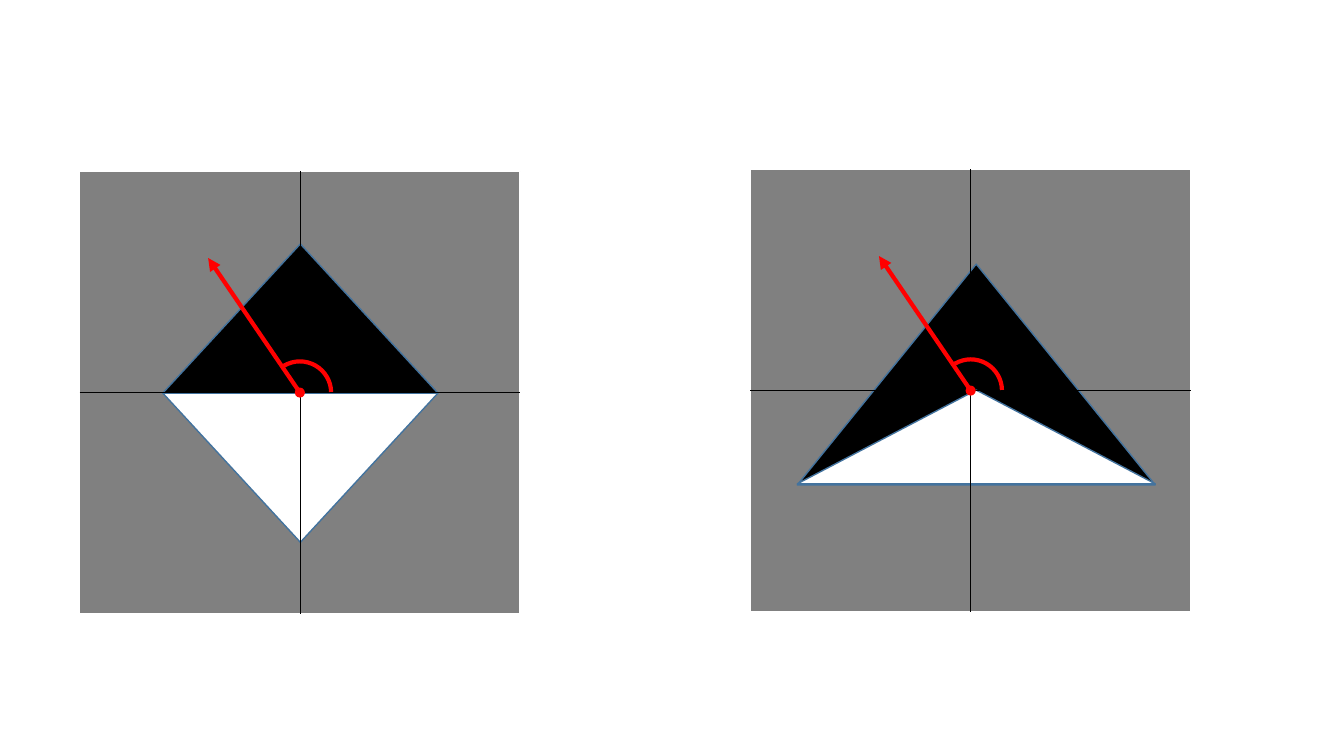
from dataclasses import dataclass
from lxml.etree import SubElement
from pptx import Presentation
from pptx.dml.color import RGBColor
from pptx.enum.shapes import MSO_CONNECTOR, MSO_SHAPE
from pptx.oxml.ns import qn
from pptx.util import Inches, Pt


@dataclass(frozen=True)
class Theme:
    black: str = "000000"
    white: str = "FFFFFF"
    gray: str = "808080"
    edge: str = "43739E"
    red: str = "FF0000"
    hair: float = 0.5
    thin: float = 1
    bold: float = 3


T = Theme()
CELL = 0.1
COLS, ROWS = 133.33, 75
PANEL_W, PANEL_H = 43.7, 43.9
ARROW = (-9.1, -13.35)
DOT, ARC = 1, 6.2
ARC_DEGREES = (326.63, 88.72)

PANELS = [
    {"center": (29.75, 38.95), "triangles": [
        (-13.6, 0.05, 27.3, 14.8, 180, T.white),
        (-13.6, -14.75, 27.3, 14.8, 0, T.black)]},
    {"center": (96.3, 38.75), "triangles": [
        (-17.2, -12.55, 35.5, 21.9, 0, T.black),
        (-17.2, -0.05, 35.5, 9.3, 0, T.white)]},
]


def cells(*values):
    return [Inches(v * CELL) for v in values]


def paint_line(line, color, width):
    line.color.rgb = RGBColor.from_string(color)
    line.width = Pt(width)


def add_shape(parent, kind, box, fill=None, line=None, rotation=0):
    s = parent.shapes.add_shape(kind, *cells(*box))
    s.shadow.inherit = False
    s.rotation = rotation
    if fill:
        s.fill.solid()
        s.fill.fore_color.rgb = RGBColor.from_string(fill)
    else:
        s.fill.background()
    if line:
        paint_line(s.line, *line)
    else:
        s.line.fill.background()
    return s


def add_line(parent, start, end, color, width):
    c = parent.shapes.add_connector(MSO_CONNECTOR.STRAIGHT, *cells(*start, *end))
    paint_line(c.line, color, width)
    SubElement(c._element.spPr, qn("a:effectLst"))
    return c


def add_panel(slide, center, triangles):
    cx, cy = center
    left, top = cx - PANEL_W / 2, cy - PANEL_H / 2
    right, bottom = left + PANEL_W, top + PANEL_H
    square = add_shape(slide, MSO_SHAPE.RECTANGLE, (left, top, PANEL_W, PANEL_H),
                       T.gray, (T.white, T.thin))
    for dx, dy, w, h, rotation, fill in triangles:
        add_shape(slide, MSO_SHAPE.ISOSCELES_TRIANGLE, (cx + dx, cy + dy, w, h),
                  fill, (T.edge, T.thin), rotation)

    group = slide.shapes.add_group_shape()
    axes = [((left, cy), (right, cy), 1, 3), ((cx, top), (cx, bottom), 0, 2)]
    for start, end, first, last in axes:
        axis = add_line(group, start, end, T.black, T.hair)
        axis.begin_connect(square, first)
        axis.end_connect(square, last)

    tip = (cx + ARROW[0], cy + ARROW[1])
    arrow = add_line(group, center, tip, T.red, T.bold)
    SubElement(arrow.line._get_or_add_ln(), qn("a:tailEnd"), type="triangle")
    add_shape(group, MSO_SHAPE.OVAL, (cx - DOT / 2, cy - DOT / 2, DOT, DOT), T.red)
    arc = add_shape(group, MSO_SHAPE.ARC, (cx - ARC / 2, cy - ARC / 2, ARC, ARC),
                    line=(T.red, T.bold), rotation=270)
    for i, degrees in enumerate(ARC_DEGREES):
        arc.adjustments[i] = degrees * 0.6


def main():
    prs = Presentation()
    prs.slide_width, prs.slide_height = cells(COLS, ROWS)
    slide = prs.slides.add_slide(prs.slide_layouts[6])
    for panel in PANELS:
        add_panel(slide, **panel)
    prs.save("out.pptx")


if __name__ == "__main__":
    main()
